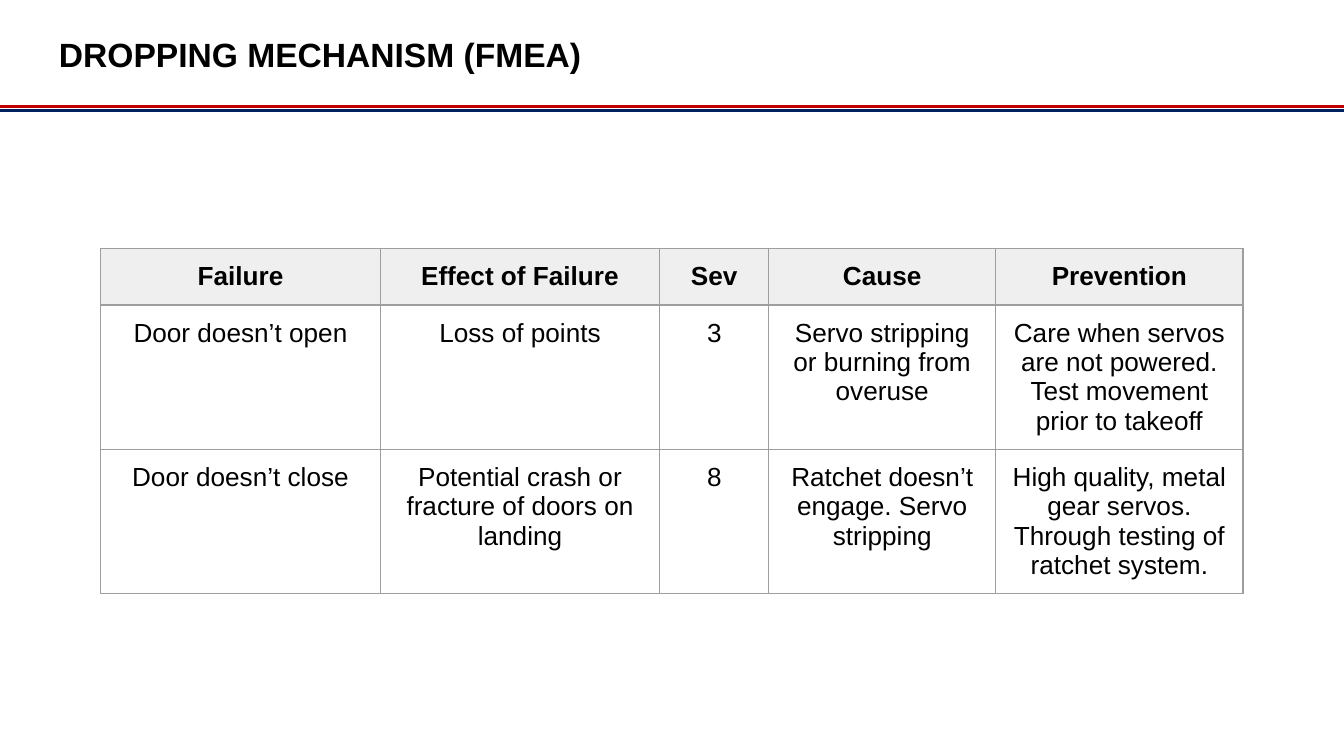
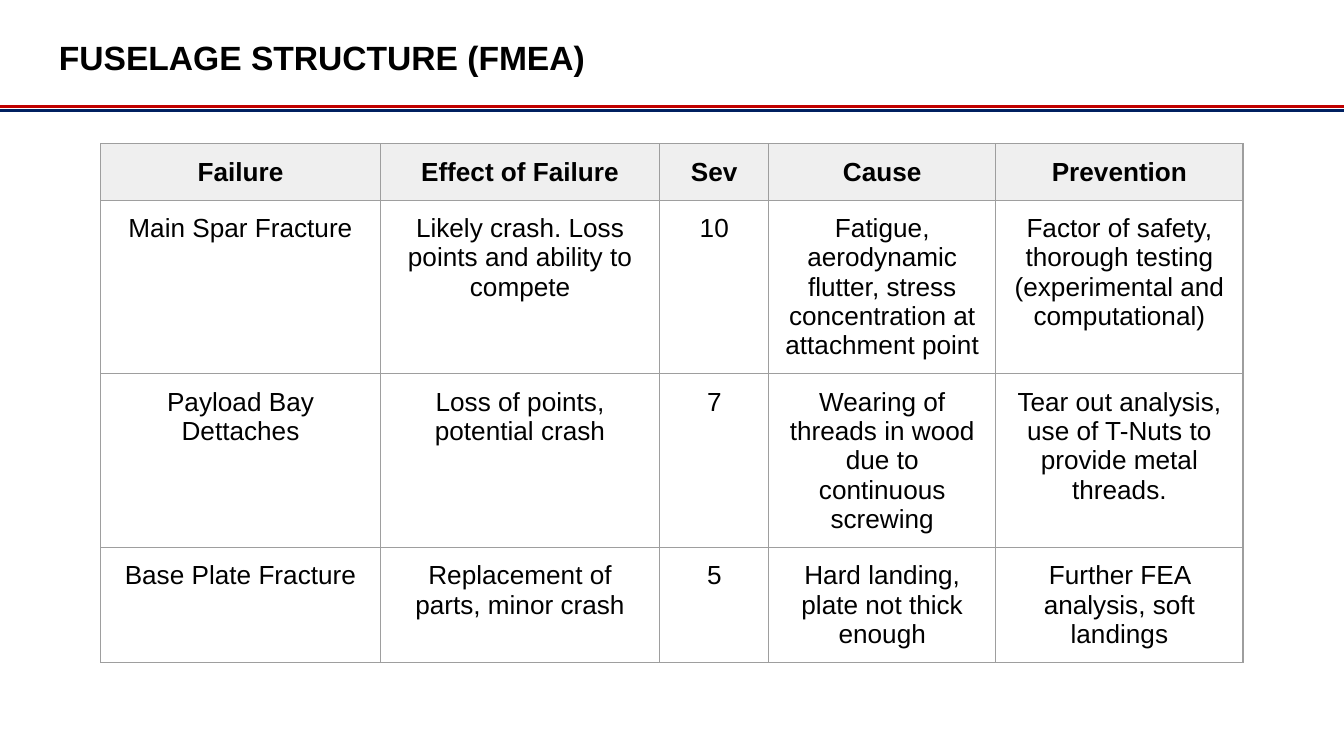
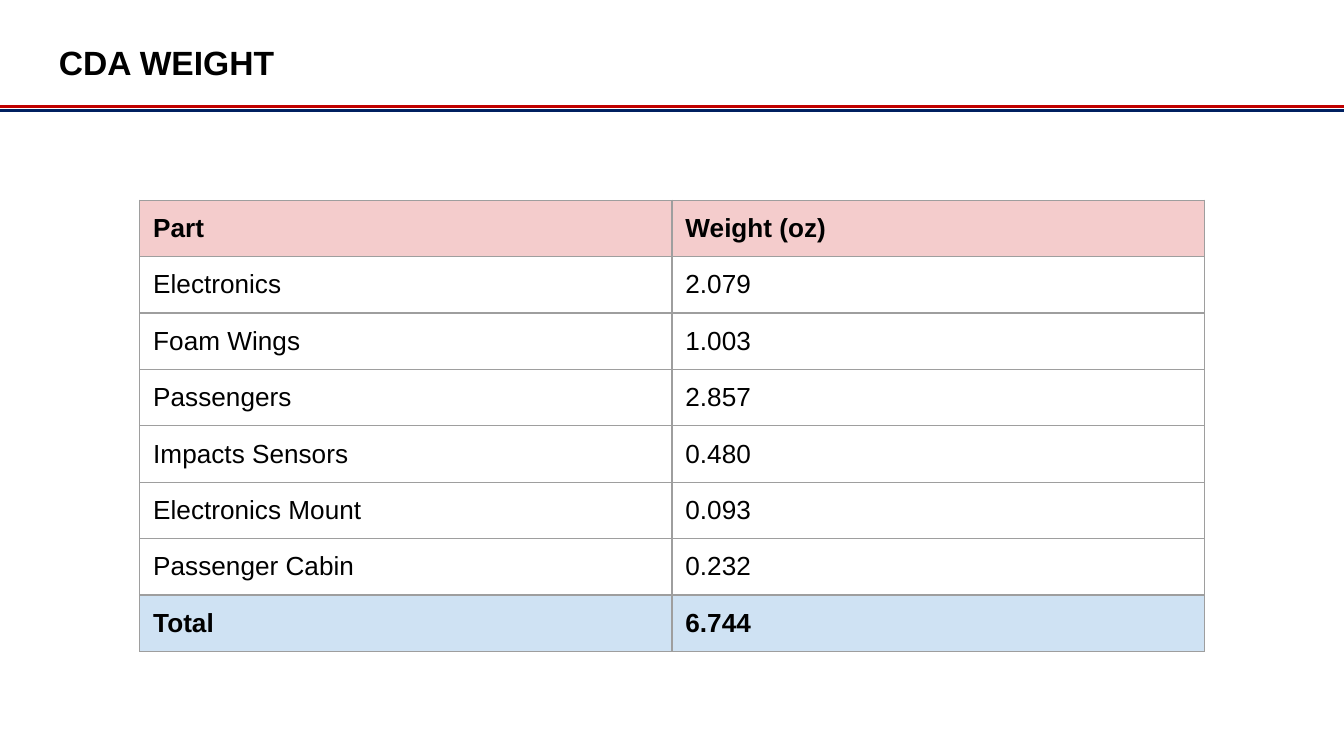
"""Builds three slides of failure analysis and weight tables."""
from lxml import etree
from pptx import Presentation
from pptx.dml.color import RGBColor
from pptx.enum.shapes import MSO_CONNECTOR
from pptx.enum.text import MSO_ANCHOR, MSO_AUTO_SIZE, PP_ALIGN
from pptx.oxml.ns import qn
from pptx.util import Inches, Pt

STRAIGHT = MSO_CONNECTOR.STRAIGHT
MIDDLE = MSO_ANCHOR.MIDDLE
NO_AUTOFIT = MSO_AUTO_SIZE.NONE
LEFT, CENTER = PP_ALIGN.LEFT, PP_ALIGN.CENTER

COLORS = {
    "text": "000000",
    "red_rule": "C00000",
    "navy_rule": "002060",
    "border": "9E9E9E",
    "fmea_header": "EFEFEF",
    "weight_header": "F4CCCC",
    "weight_total": "CFE2F3",
}
FONT = "Arial"
SLIDE_WIDTH = 10
SLIDE_HEIGHT = SLIDE_WIDTH * 9 / 16
PADDING = 0.1
ROW_HEIGHT = 0.42
FRAME_SIZE = 3.28
BORDER_WIDTH = 0.75
PLAIN_TABLE_STYLE = "{2D5ABB26-0587-4C30-8999-92F81FD0307C}"

FMEA_COLUMNS = [2.08, 2.08, 0.81, 1.69, 1.84]
FMEA_HEADINGS = ("Failure", "Effect of Failure", "Sev", "Cause", "Prevention")
DROPPING_FAILURES = [
    ("Door doesn’t open", "Loss of points", "3",
     "Servo stripping or burning from overuse",
     "Care when servos are not powered. Test movement prior to takeoff"),
    ("Door doesn’t close", "Potential crash or fracture of doors on landing", "8",
     "Ratchet doesn’t engage. Servo stripping",
     "High quality, metal gear servos. Through testing of ratchet system."),
]
FUSELAGE_FAILURES = [
    ("Main Spar Fracture", "Likely crash. Loss points and ability to compete", "10",
     "Fatigue, aerodynamic flutter, stress concentration at attachment point",
     "Factor of safety, thorough testing (experimental and computational)"),
    ("Payload Bay Dettaches", "Loss of points, potential crash", "7",
     "Wearing of threads in wood due to continuous screwing",
     "Tear out analysis, use of T-Nuts to provide metal threads."),
    ("Base Plate Fracture", "Replacement of parts, minor crash", "5",
     "Hard landing, plate not thick enough",
     "Further FEA analysis, soft landings"),
]
WEIGHT_COLUMNS = [3.96, 3.96]
WEIGHTS = [
    ("Part", "Weight (oz)"),
    ("Electronics", "2.079"),
    ("Foam Wings", "1.003"),
    ("Passengers", "2.857"),
    ("Impacts Sensors", "0.480"),
    ("Electronics Mount", "0.093"),
    ("Passenger Cabin", "0.232"),
    ("Total", "6.744"),
]


def rgb(name):
    """Return the named colour."""
    return RGBColor.from_string(COLORS[name])


def write_text(frame, text, size=14, bold=False, align=LEFT):
    """Write one formatted paragraph into a text frame."""
    frame.word_wrap = True
    frame.auto_size = NO_AUTOFIT
    paragraph = frame.paragraphs[0]
    paragraph.alignment = align
    paragraph.line_spacing = 1.0
    run = paragraph.add_run()
    run.text = text
    run.font.name = FONT
    run.font.size = Pt(size)
    run.font.bold = bold
    run.font.color.rgb = rgb("text")


def set_padding(holder):
    """Give a cell or text frame equal margins on all sides."""
    holder.margin_left = holder.margin_right = Inches(PADDING)
    holder.margin_top = holder.margin_bottom = Inches(PADDING)


def add_rule(slide, top, color):
    """Draw a line across the full slide."""
    rule = slide.shapes.add_connector(
        STRAIGHT, 0, Inches(top), Inches(SLIDE_WIDTH), Inches(top))
    rule.line.color.rgb = rgb(color)
    rule.line.width = Pt(1.5)
    etree.SubElement(rule._element.spPr, qn("a:effectLst"))


def add_titled_slide(deck, title, title_top):
    """Add a slide with the double rule and a title."""
    slide = deck.slides.add_slide(deck.slide_layouts[6])
    add_rule(slide, 0.79, "red_rule")
    add_rule(slide, 0.82, "navy_rule")
    heading = slide.shapes.add_textbox(
        Inches(0.34), Inches(title_top), Inches(9.32), Inches(0.63)).text_frame
    heading.vertical_anchor = MIDDLE
    set_padding(heading)
    write_text(heading, title, size=18, bold=True)
    return slide


def add_borders(cell):
    """Outline all four sides of a cell."""
    properties = cell._tc.get_or_add_tcPr()
    for side in ("lnL", "lnR", "lnT", "lnB"):
        edge = etree.SubElement(properties, qn(f"a:{side}"), w=str(Pt(BORDER_WIDTH)))
        fill = etree.SubElement(edge, qn("a:solidFill"))
        etree.SubElement(fill, qn("a:srgbClr"), val=COLORS["border"])


def add_grid(slide, left, top, columns, rows, row_fills,
             header_height=ROW_HEIGHT, align=LEFT):
    """Add a table whose filled rows, given by index, are bold."""
    holder = slide.shapes.add_table(
        len(rows), len(columns), Inches(left), Inches(top),
        Inches(FRAME_SIZE), Inches(FRAME_SIZE))
    table = holder.table
    table.first_row = table.horz_banding = False
    table._tbl.tblPr.find(qn("a:tableStyleId")).text = PLAIN_TABLE_STYLE
    for column, width in zip(table.columns, columns):
        column.width = Inches(width)
    for index, values in enumerate(rows):
        table.rows[index].height = Inches(ROW_HEIGHT if index else header_height)
        for cell, value in zip(table.rows[index].cells, values):
            set_padding(cell)
            add_borders(cell)
            if index in row_fills:
                cell.fill.solid()
                cell.fill.fore_color.rgb = rgb(row_fills[index])
            else:
                cell.fill.background()
            write_text(cell.text_frame, value, bold=index in row_fills, align=align)
    holder.width = holder.height = Inches(FRAME_SIZE)


def add_fmea_slide(deck, title, title_top, table_top, failures):
    """Add a failure analysis slide."""
    slide = add_titled_slide(deck, title, title_top)
    add_grid(slide, 0.75, table_top, FMEA_COLUMNS, [FMEA_HEADINGS, *failures],
             {0: "fmea_header"}, header_height=0.11, align=CENTER)


def add_weight_slide(deck):
    """Add the weight breakdown slide."""
    slide = add_titled_slide(deck, "CDA WEIGHT", 0.15)
    add_grid(slide, 1.04, 1.49, WEIGHT_COLUMNS, WEIGHTS,
             {0: "weight_header", len(WEIGHTS) - 1: "weight_total"})


def main():
    """Build and save the deck."""
    deck = Presentation()
    deck.slide_width = Inches(SLIDE_WIDTH)
    deck.slide_height = Inches(SLIDE_HEIGHT)
    add_fmea_slide(deck, "DROPPING MECHANISM (FMEA)", 0.09, 1.85, DROPPING_FAILURES)
    add_fmea_slide(deck, "FUSELAGE STRUCTURE (FMEA)", 0.11, 1.07, FUSELAGE_FAILURES)
    add_weight_slide(deck)
    deck.save("out.pptx")


if __name__ == "__main__":
    main()
